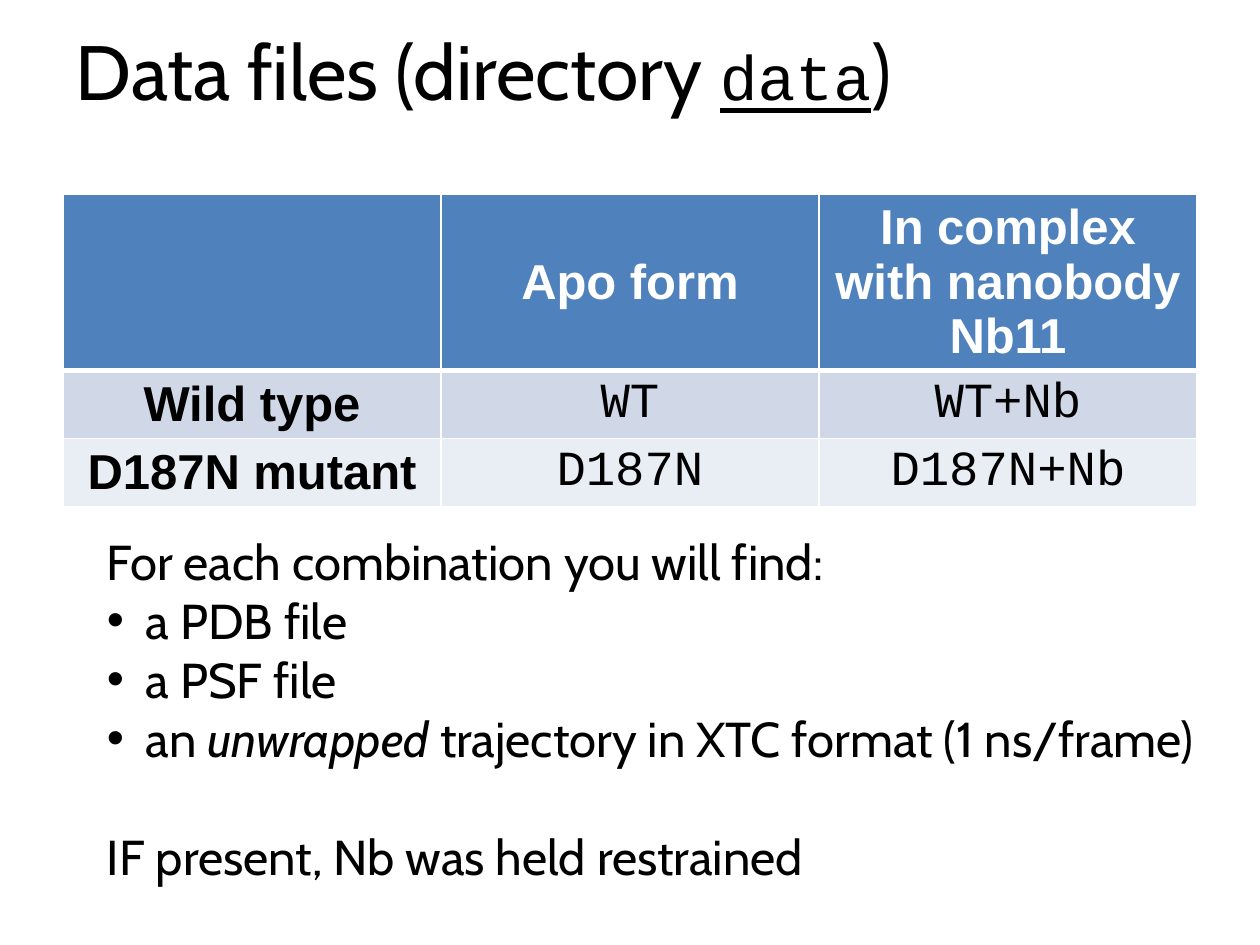
from lxml.etree import SubElement
from pptx import Presentation
from pptx.dml.color import RGBColor
from pptx.enum.text import MSO_ANCHOR, MSO_AUTO_SIZE, PP_ALIGN
from pptx.oxml import parse_xml
from pptx.oxml.ns import nsdecls, qn
from pptx.util import Inches, Pt

COLORS = {"text": "000000", "white": "FFFFFF", "header": "4F81BD",
          "band_dark": "D0D8E8", "band_light": "E9EDF4"}
WIDTH, HEIGHT = Inches(10), Inches(7.5)
MARGIN = Inches(0.5)
COLUMN = (WIDTH - 2 * MARGIN) // 3
ROW_HEIGHTS = [Inches(1.39), Inches(0.54), Inches(0.54)]
BODY, CODE, TABLE = "Cabin", "Courier New", "Arial"
ROWS = [["", "Apo form", "In complex with nanobody Nb11"],
        ["Wild type", "WT", "WT+Nb"],
        ["D187N mutant", "D187N", "D187N+Nb"]]


def add_text(paragraph, text, font=BODY, size=28, color="text", **styles):
    run = paragraph.add_run()
    run.text = text
    run.font.name = font
    run.font.size = Pt(size)
    run.font.color.rgb = RGBColor.from_string(COLORS[color])
    for style, value in styles.items():
        setattr(run.font, style, value)


def add_bullet(paragraph):
    properties = paragraph._p.get_or_add_pPr()
    indent = Inches(0.31)
    properties.set("marL", str(indent))
    properties.set("indent", str(-indent))
    SubElement(properties, qn("a:buFont"), typeface="Arial")
    SubElement(properties, qn("a:buChar"), char="•")


def set_borders(cell, bottom):
    properties = cell._tc.get_or_add_tcPr()
    widths = {"lnL": 1, "lnR": 1, "lnT": 1, "lnB": bottom}
    for position, (side, width) in enumerate(widths.items()):
        properties.insert(position, parse_xml(
            f'<a:{side} {nsdecls("a")} w="{Pt(width)}"><a:solidFill>'
            f'<a:srgbClr val="{COLORS["white"]}"/></a:solidFill></a:{side}>'))


def add_title(slide):
    title = slide.shapes.title
    title.left, title.top = MARGIN, Inches(0.08)
    title.width, title.height = WIDTH - 2 * MARGIN, Inches(0.95)
    frame = title.text_frame
    frame.auto_size = MSO_AUTO_SIZE.NONE
    frame.vertical_anchor = MSO_ANCHOR.MIDDLE
    paragraph = frame.paragraphs[0]
    paragraph.alignment = PP_ALIGN.LEFT
    add_text(paragraph, "Data files (directory ", size=44)
    add_text(paragraph, "data", font=CODE, size=36, underline=True)
    add_text(paragraph, ")", size=44)


def add_file_table(slide):
    table = slide.shapes.add_table(len(ROWS), 3, MARGIN, Inches(1.54),
                                   3 * COLUMN, sum(ROW_HEIGHTS)).table
    fills = ["header", "band_dark", "band_light"]
    for column in table.columns:
        column.width = COLUMN
    for row, texts in enumerate(ROWS):
        table.rows[row].height = ROW_HEIGHTS[row]
        is_header = row == 0
        for column, text in enumerate(texts):
            cell = table.cell(row, column)
            cell.fill.solid()
            cell.fill.fore_color.rgb = RGBColor.from_string(COLORS[fills[row]])
            set_borders(cell, bottom=3 if is_header else 1)
            cell.vertical_anchor = MSO_ANCHOR.MIDDLE if is_header else MSO_ANCHOR.TOP
            paragraph = cell.text_frame.paragraphs[0]
            paragraph.alignment = PP_ALIGN.CENTER
            is_label = is_header or column == 0
            if text:
                add_text(paragraph, text, font=TABLE if is_label else CODE,
                         color="white" if is_header else "text", bold=is_label)


def add_contents(slide):
    box = slide.shapes.add_textbox(Inches(0.75), Inches(4.17), WIDTH * 0.9, Inches(2.93))
    frame = box.text_frame
    frame.word_wrap = True
    add_text(frame.paragraphs[0], "For each combination you will find:")
    items = [["a PDB file"], ["a PSF file"],
             ["an ", "unwrapped", " trajectory in XTC format (1 ns/frame)"]]
    for item in items:
        paragraph = frame.add_paragraph()
        add_bullet(paragraph)
        for part in item:
            add_text(paragraph, part, italic=part == "unwrapped")
    remark = frame.add_paragraph()
    remark.space_before = Pt(34)
    add_text(remark, "IF present, Nb was held restrained")


def main():
    presentation = Presentation()
    presentation.slide_width, presentation.slide_height = WIDTH, HEIGHT
    slide = presentation.slides.add_slide(presentation.slide_layouts[5])
    add_title(slide)
    add_file_table(slide)
    add_contents(slide)
    presentation.save("out.pptx")


if __name__ == "__main__":
    main()
